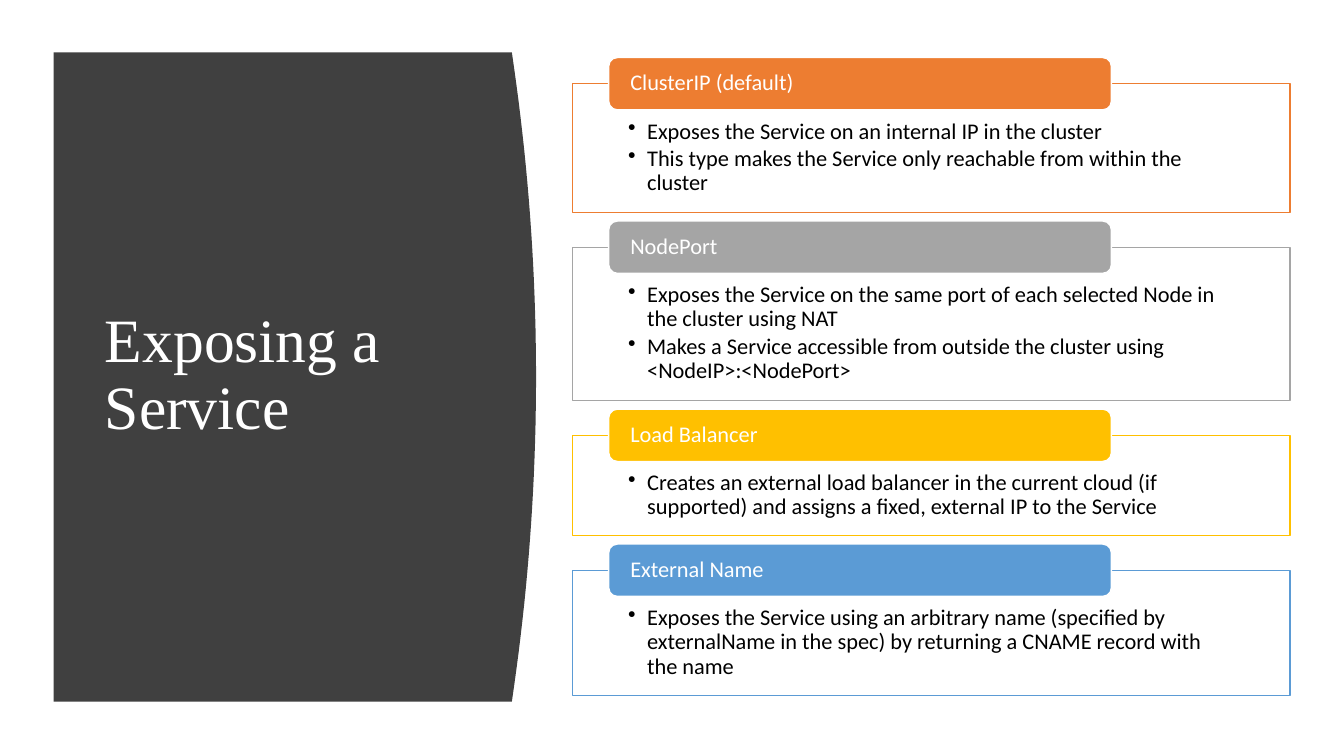
from lxml.etree import SubElement
from pptx import Presentation
from pptx.dml.color import RGBColor
from pptx.enum.shapes import MSO_SHAPE
from pptx.enum.text import MSO_ANCHOR, PP_ALIGN
from pptx.oxml.ns import qn
from pptx.util import Cm, Pt

SERVICE_TYPES = [
    ("ClusterIP (default)", "ED7D31", 3.24, [
        "Exposes the Service on an internal IP in the cluster",
        "This type makes the Service only reachable from within the cluster"]),
    ("NodePort", "A5A5A5", 3.86, [
        "Exposes the Service on the same port of each selected Node in the cluster using NAT",
        "Makes a Service accessible from outside the cluster using <NodeIP>:<NodePort>"]),
    ("Load Balancer", "FFC000", 2.52, [
        "Creates an external load balancer in the current cloud (if supported) "
        "and assigns a fixed, external IP to the Service"]),
    ("External Name", "5B9BD5", 3.16, [
        "Exposes the Service using an arbitrary name (specified by externalName in the spec) "
        "by returning a CNAME record with the name"]),
]
FIRST_CARD_TOP = 2.11
CARD_GAP = 0.88


def color(hex_string):
    return RGBColor.from_string(hex_string)


class ServiceSlide:
    """Holds the slide and its style; lengths are in centimetres."""

    title_font = "Times New Roman"
    body_font = "Calibri"
    panel_color = "404040"
    light = "FFFFFF"
    dark = "000000"

    def __init__(self, presentation):
        self.slide = presentation.slides.add_slide(presentation.slide_layouts[5])

    def paint(self, shape, fill, line=None):
        shape.shadow.inherit = False
        shape.fill.solid()
        shape.fill.fore_color.rgb = color(fill)
        if line:
            shape.line.color.rgb = color(line)
            shape.line.width = Pt(1)
        else:
            shape.line.fill.background()

    def format_paragraph(self, paragraph, font_name, size, text_color):
        paragraph.alignment = PP_ALIGN.LEFT
        paragraph.line_spacing = 0.9
        paragraph.font.name = font_name
        paragraph.font.size = Pt(size)
        paragraph.font.color.rgb = color(text_color)

    def add_panel(self, left, top, side, bottom, bulge, steps=40):
        """Draw the dark panel whose right side bows out as a parabola."""
        middle, half = (top + bottom) / 2, (bottom - top) / 2
        points = []
        for step in range(steps + 1):
            position = 2 * step / steps - 1
            points.append((Cm(side + bulge * (1 - position ** 2)),
                           Cm(middle + half * position)))
        builder = self.slide.shapes.build_freeform(Cm(left), Cm(top))
        builder.add_line_segments(points + [(Cm(left), Cm(bottom))], close=True)
        self.paint(builder.convert_to_shape(), self.panel_color)

    def add_title(self, text, left, top, width, height):
        title = self.slide.shapes.title
        title.left, title.top = Cm(left), Cm(top)
        title.width, title.height = Cm(width), Cm(height)
        frame = title.text_frame
        frame.text = text
        frame.vertical_anchor = MSO_ANCHOR.MIDDLE
        self.format_paragraph(frame.paragraphs[0], self.title_font, 44, self.light)
        # Bring the title in front of the panel
        self.slide.shapes._spTree.append(title._element)

    def add_box(self, kind, bounds, fill, line, insets, anchor):
        box = self.slide.shapes.add_shape(kind, *(Cm(length) for length in bounds))
        self.paint(box, fill, line)
        frame = box.text_frame
        frame.word_wrap = True
        frame.vertical_anchor = anchor
        side, top, bottom = (Cm(inset) for inset in insets)
        frame.margin_left = frame.margin_right = side
        frame.margin_top, frame.margin_bottom = top, bottom
        return box

    def add_bullet(self, paragraph):
        properties = paragraph._p.get_or_add_pPr()
        properties.set("marL", str(Cm(0.48)))
        properties.set("indent", str(-Cm(0.48)))
        bullet = SubElement(properties, qn("a:buChar"))
        bullet.set("char", "•")
        # The bullet must stand before the default run properties
        properties.find(qn("a:defRPr")).addprevious(bullet)

    def add_card(self, top, height, name, accent, points):
        body = self.add_box(MSO_SHAPE.RECTANGLE, (14.43, top, 18.08, height),
                            self.light, accent, (1.4, 0.91, 0.3), MSO_ANCHOR.TOP)
        alpha = SubElement(body.fill._xPr.find(qn("a:solidFill"))[0], qn("a:alpha"))
        alpha.set("val", "90000")
        body.text_frame.text = "\n".join(points)
        for paragraph in body.text_frame.paragraphs:
            self.format_paragraph(paragraph, self.body_font, 16, self.dark)
            paragraph.space_after = Pt(2.4)
            self.add_bullet(paragraph)

        tab = self.add_box(MSO_SHAPE.ROUNDED_RECTANGLE, (15.34, top - 0.66, 12.67, 1.32),
                           accent, self.light, (0.48, 0, 0), MSO_ANCHOR.MIDDLE)
        tab.text_frame.text = name
        self.format_paragraph(tab.text_frame.paragraphs[0], self.body_font, 16, self.light)


def main():
    presentation = Presentation()
    presentation.slide_width, presentation.slide_height = Cm(33.87), Cm(19.05)
    service_slide = ServiceSlide(presentation)
    service_slide.add_panel(left=1.35, top=1.32, side=12.9, bottom=17.68, bulge=0.61)
    service_slide.add_title("Exposing a Service", 2.39, 2.82, 9.5, 13.31)
    top = FIRST_CARD_TOP
    for name, accent, height, points in SERVICE_TYPES:
        service_slide.add_card(top, height, name, accent, points)
        top += height + CARD_GAP
    presentation.save("out.pptx")


if __name__ == "__main__":
    main()
